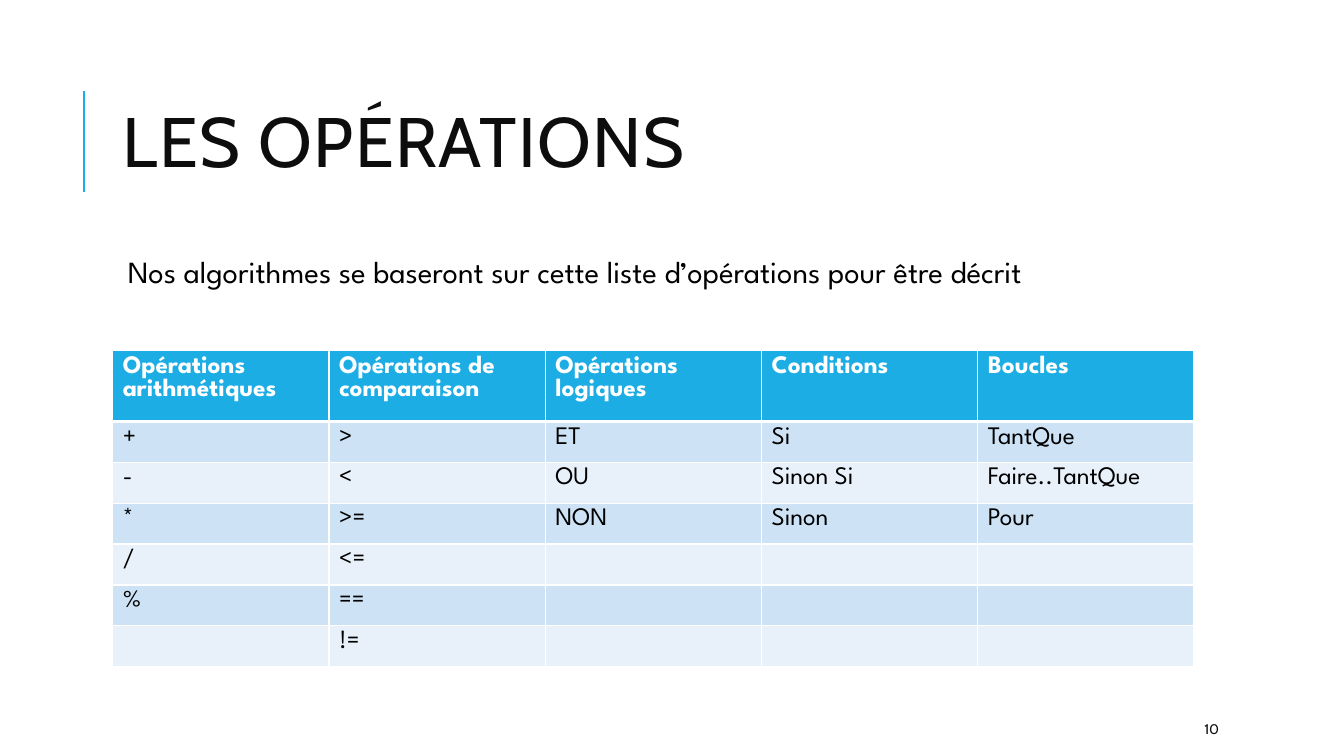
import pptx
import pptx.util
import pptx.dml.color
import pptx.enum.shapes
import pptx.enum.text
import pptx.oxml
import pptx.oxml.ns
from pptx.util import Cm

ACCENT, INK, BLACK, WHITE = "1CADE4", "0D0D0D", "000000", "FFFFFF"
BANDS = ["CDE3F5", "E8F1FA"]
HEADING_FONT, TEXT_FONT = "Cabin", "League Spartan"
LEFT = 2.84

COLUMNS = {
    "Opérations arithmétiques": ["+", "-", "*", "/", "%"],
    "Opérations de comparaison": [">", "<", ">=", "<=", "==", "!="],
    "Opérations logiques": ["ET", "OU", "NON"],
    "Conditions": ["Si", "Sinon Si", "Sinon"],
    "Boucles": ["TantQue", "Faire..TantQue", "Pour"],
}


def color(value):
    return pptx.dml.color.RGBColor.from_string(value)


def apply(target, values):
    for name, value in values.items():
        setattr(target, name, value)


def xml(body):
    tag, rest = body.split(" ", 1)
    return pptx.oxml.parse_xml(f"<{tag} {pptx.oxml.ns.nsdecls('a')} {rest}")


def place(shape, box):
    apply(shape, dict(zip(("left", "top", "width", "height"), map(Cm, box))))


def write(para, text, font, size, ink, bold=False):
    span = para.add_run()
    span.text = text
    apply(span.font, {"name": font, "size": pptx.util.Pt(size), "bold": bold})
    span.font.color.rgb = color(ink)
    return span


def add_title(page, box):
    left, top, width, height = box
    # Accent rule beside the title
    rule = page.shapes.add_connector(
        pptx.enum.shapes.MSO_CONNECTOR.STRAIGHT,
        Cm(left - 0.73), Cm(top + 3.2), Cm(left - 0.73), Cm(top + 0.66))
    rule.line.color.rgb = color(ACCENT)
    rule.line.width = pptx.util.Pt(1.5)
    rule._element.spPr.append(xml("a:effectLst />"))
    # Title text
    title = page.shapes.title
    place(title, box)
    apply(title.text_frame, {
        "word_wrap": True,
        "auto_size": pptx.enum.text.MSO_AUTO_SIZE.NONE,
        "vertical_anchor": pptx.enum.text.MSO_ANCHOR.MIDDLE,
    })
    para = title.text_frame.paragraphs[0]
    apply(para, {"alignment": pptx.enum.text.PP_ALIGN.LEFT, "line_spacing": 0.8})
    span = write(para, "LES OPÉRATIONS", HEADING_FONT, 50, INK)
    span.font._element.set("spc", "100")


def add_body(page, box):
    body = page.placeholders[1]
    place(body, box)
    frame = body.text_frame
    margins = ("margin_left", "margin_top", "margin_right", "margin_bottom")
    apply(frame, dict.fromkeys(margins, Cm(0.13)))
    apply(frame, {
        "word_wrap": True,
        "auto_size": pptx.enum.text.MSO_AUTO_SIZE.NONE,
        "vertical_anchor": pptx.enum.text.MSO_ANCHOR.TOP,
    })
    para = frame.paragraphs[0]
    apply(para, {
        "alignment": pptx.enum.text.PP_ALIGN.LEFT,
        "line_spacing": 0.9,
        "space_before": pptx.util.Pt(12),
        "space_after": pptx.util.Pt(2),
    })
    # Blank bullet with a hanging indent
    properties = para._p.get_or_add_pPr()
    properties.set("marL", str(Cm(0.25)))
    properties.set("indent", str(-Cm(0.25)))
    properties.append(xml(f'a:buClr ><a:srgbClr val="{ACCENT}"/></a:buClr>'))
    properties.append(xml('a:buChar char=" "/>'))
    write(para, "Nos algorithmes se baseront sur cette liste d’opérations pour être décrit",
          TEXT_FONT, 22, BLACK)


def add_page_number(page, box):
    number = page.shapes.add_textbox(*map(Cm, box))
    apply(number.text_frame, {
        "word_wrap": True,
        "vertical_anchor": pptx.enum.text.MSO_ANCHOR.MIDDLE,
    })
    write(number.text_frame.paragraphs[0], "10", HEADING_FONT, 10, INK)


def set_borders(cell, widths):
    properties = cell._tc.get_or_add_tcPr()
    for index, (side, width) in enumerate(widths.items()):
        properties.insert(index, xml(
            f'a:ln{side} w="{pptx.util.Pt(width)}"><a:solidFill>'
            f'<a:srgbClr val="{WHITE}"/></a:solidFill></a:ln{side}>'))


def add_operations_table(page, box):
    row_count = 1 + max(map(len, COLUMNS.values()))
    table = page.shapes.add_table(row_count, len(COLUMNS), *map(Cm, box)).table
    for row_index, row in enumerate(table.rows):
        row.height = Cm(1.03 if row_index else 1.4)
    for column_index, (heading, entries) in enumerate(COLUMNS.items()):
        table.columns[column_index].width = Cm(box[2] / len(COLUMNS))
        for row_index in range(row_count):
            cell = table.cell(row_index, column_index)
            header = row_index == 0
            # A thick line divides the header from the rows
            set_borders(cell, {"L": 1, "R": 1, "T": 3 if row_index == 1 else 1,
                               "B": 3 if header else 1})
            cell.fill.solid()
            cell.fill.fore_color.rgb = color(ACCENT if header else BANDS[(row_index - 1) % 2])
            texts = [heading, *entries]
            text = texts[row_index] if row_index < len(texts) else ""
            write(cell.text_frame.paragraphs[0], text, TEXT_FONT, 18,
                  WHITE if header else BLACK, header)


def main():
    deck = pptx.Presentation()
    apply(deck, {"slide_width": Cm(33.87), "slide_height": Cm(19.05)})
    page = deck.slides.add_slide(deck.slide_layouts[1])
    add_title(page, (LEFT, 1.63, 27, 4.17))
    add_body(page, (LEFT, 6.35, 27, 11.18))
    add_page_number(page, (30.1, 17.98, 2.69, 0.76))
    add_operations_table(page, (LEFT, 8.84, 27.25, 7.58))
    deck.save("out.pptx")


if __name__ == "__main__":
    main()
